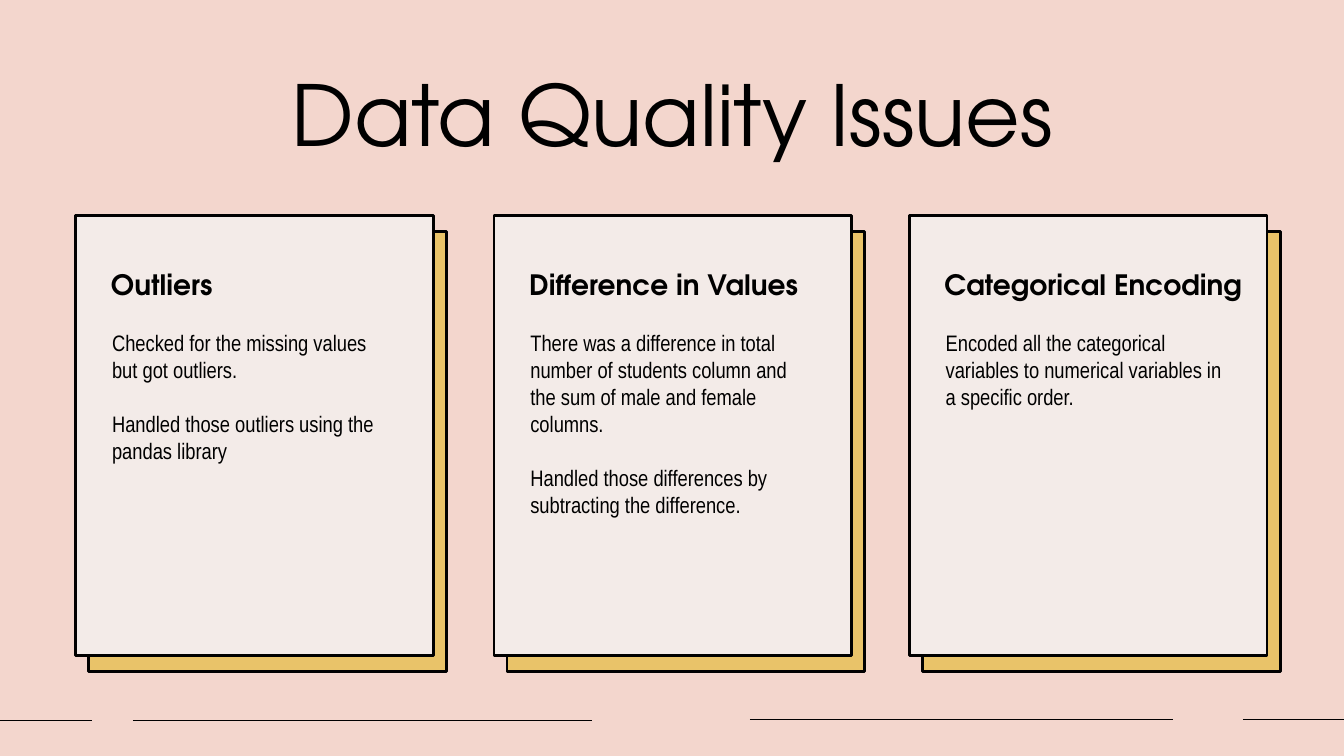
from dataclasses import dataclass
from typing import Any

from lxml import etree
from pptx import Presentation
from pptx import util as u
from pptx.dml.color import RGBColor
from pptx.enum import shapes, text
from pptx.oxml.ns import qn


@dataclass(frozen=True)
class Theme:
    background: str = "F3D6CD"
    card: str = "F3EBE8"
    backing: str = "E9C369"
    ink: str = "000000"
    display_font: str = "TeX Gyre Adventor"
    body_font: str = "Arial Narrow"
    title_size: float = 60
    heading_size: float = 20
    body_size: float = 16
    border: float = 2
    rule: float = 1


@dataclass(frozen=True)
class Card:
    left: float
    heading: str
    paragraphs: tuple[str, ...]


@dataclass(frozen=True)
class Rule:
    start: float
    end: float
    y: float


THEME = Theme()
SLIDE_W, SLIDE_H = 960, 540
CARD_TOP, CARD_W, CARD_H = 154, 255.6, 314
BACKING_DX, BACKING_DY = 9.4, 11.6
BODY_DX, BODY_TOP, BODY_W, BODY_H = 19, 231.8, 216, 219.6
PARAGRAPH_GAP = 19.2

CARDS = (
    Card(54, "Outliers", (
        "Checked for the missing values but got outliers.",
        "Handled those outliers using the pandas library",
    )),
    Card(352.8, "Difference in Values", (
        "There was a difference in total number of students column "
        "and the sum of male and female columns.",
        "Handled those differences by subtracting the difference.",
    )),
    Card(649.4, "Categorical Encoding", (
        "Encoded all the categorical variables to numerical variables "
        "in a specific order.",
    )),
)
RULES = (
    Rule(0, 66, 514.8),
    Rule(95, 422.6, 514.8),
    Rule(535.7, 838, 514.1),
    Rule(887.8, SLIDE_W, 514.1),
)


def apply(target: Any, formats: dict[str, Any]) -> None:
    for name, value in formats.items():
        setattr(target, name, value)


def box(left: float, top: float, width: float, height: float) -> dict[str, u.Length]:
    return {"left": u.Pt(left), "top": u.Pt(top),
            "width": u.Pt(width), "height": u.Pt(height)}


def add_text(p: Any, content: str, font: str, size: float, bold: bool = False) -> None:
    r = p.add_run()
    r.text = content
    apply(r.font, {"name": font, "size": u.Pt(size), "bold": bold})
    r.font.color.rgb = RGBColor.from_string(THEME.ink)


def add_panel(s: Any, left: float, top: float, fill: str) -> Any:
    sp = s.shapes.add_shape(shapes.MSO_SHAPE.RECTANGLE,
                            **box(left, top, CARD_W, CARD_H))
    sp.shadow.inherit = False
    sp.fill.solid()
    sp.fill.fore_color.rgb = RGBColor.from_string(fill)
    sp.line.color.rgb = RGBColor.from_string(THEME.ink)
    sp.line.width = u.Pt(THEME.border)
    return sp


def add_card(s: Any, card: Card) -> None:
    add_panel(s, card.left + BACKING_DX, CARD_TOP + BACKING_DY, THEME.backing)
    tf = add_panel(s, card.left, CARD_TOP, THEME.card).text_frame
    apply(tf, {"word_wrap": True, "vertical_anchor": text.MSO_ANCHOR.TOP,
               "margin_left": u.Pt(25.2), "margin_top": u.Pt(39.6),
               "margin_right": u.Pt(7.2), "margin_bottom": u.Pt(3.6)})
    p = tf.paragraphs[0]
    apply(p, {"alignment": text.PP_ALIGN.LEFT, "line_spacing": 0.9,
              "space_before": u.Pt(10)})
    add_text(p, card.heading, THEME.display_font, THEME.heading_size, True)

    tf = s.shapes.add_textbox(
        **box(card.left + BODY_DX, BODY_TOP, BODY_W, BODY_H)).text_frame
    tf.word_wrap = True
    for i, content in enumerate(card.paragraphs):
        p = tf.add_paragraph() if i else tf.paragraphs[0]
        p.space_before = u.Pt(PARAGRAPH_GAP if i else 0)
        add_text(p, content, THEME.body_font, THEME.body_size)


def add_rule(s: Any, rule: Rule) -> None:
    line = s.shapes.add_connector(shapes.MSO_CONNECTOR.STRAIGHT, u.Pt(rule.start),
                                  u.Pt(rule.y), u.Pt(rule.end), u.Pt(rule.y))
    line.line.color.rgb = RGBColor.from_string(THEME.ink)
    line.line.width = u.Pt(THEME.rule)
    etree.SubElement(line._element.spPr, qn("a:effectLst"))


def format_title(s: Any, content: str) -> None:
    sp = s.shapes.title
    apply(sp, box(90, 40.3, 780.5, 80))
    apply(sp.text_frame, {"word_wrap": True, "auto_size": text.MSO_AUTO_SIZE.NONE,
                          "vertical_anchor": text.MSO_ANCHOR.MIDDLE})
    p = sp.text_frame.paragraphs[0]
    p.alignment = text.PP_ALIGN.CENTER
    add_text(p, content, THEME.display_font, THEME.title_size)


def main() -> None:
    prs = Presentation()
    apply(prs, {"slide_width": u.Pt(SLIDE_W), "slide_height": u.Pt(SLIDE_H)})
    s = prs.slides.add_slide(prs.slide_layouts[5])
    s.background.fill.solid()
    s.background.fill.fore_color.rgb = RGBColor.from_string(THEME.background)
    format_title(s, "Data Quality Issues")
    for rule in RULES:
        add_rule(s, rule)
    for card in CARDS:
        add_card(s, card)
    prs.save("out.pptx")


if __name__ == "__main__":
    main()
